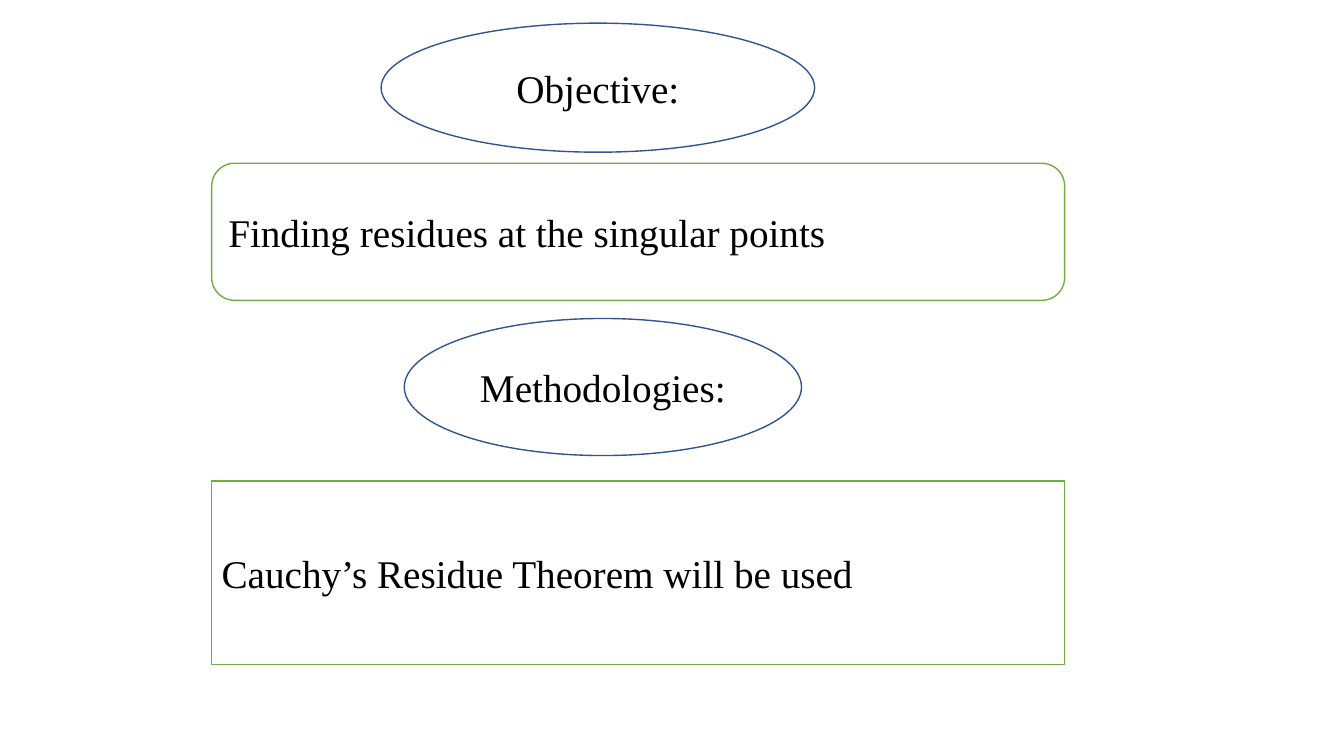
from pptx import Presentation
from pptx.dml.color import RGBColor
from pptx.enum.shapes import MSO_SHAPE as Shape
from pptx.enum.text import MSO_ANCHOR as Anchor, PP_ALIGN as Align
from pptx.util import Inches, Pt

BLUE = RGBColor(0x32, 0x54, 0x91)
GREEN = RGBColor(0x70, 0xAD, 0x47)
BLACK = RGBColor(0, 0, 0)
FONT = "Times New Roman"


def add_box(slide, kind, box, color, align, text):
    """Place an outlined shape with one line of text in the given box."""
    shape = slide.shapes.add_shape(kind, *map(Inches, box))
    shape.shadow.inherit = False
    shape.fill.background()
    shape.line.color.rgb = color
    shape.line.width = Pt(1)

    # Text
    frame = shape.text_frame
    frame.word_wrap = True
    frame.vertical_anchor = Anchor.MIDDLE
    para = frame.paragraphs[0]
    para.alignment = align
    run = para.add_run()
    run.text = text
    run.font.name = FONT
    run.font.size = Pt(28)
    run.font.color.rgb = BLACK


def add_head(slide, box, text):
    """Oval heading."""
    add_box(slide, Shape.OVAL, box, BLUE, Align.CENTER, text)


def add_panel(slide, kind, top, height, text):
    """Green panel; all panels share one left edge and width."""
    box = (2.1, top, 8.46, height)
    add_box(slide, kind, box, GREEN, Align.JUSTIFY, text)


def main():
    deck = Presentation()
    deck.slide_width = Inches(13.33)
    deck.slide_height = Inches(7.5)
    slide = deck.slides.add_slide(deck.slide_layouts[6])

    # Objective
    add_head(slide, (3.78, 0.23, 4.3, 1.28), "Objective:")
    add_panel(slide, Shape.ROUNDED_RECTANGLE, 1.62, 1.36,
              "Finding residues at the singular points")

    # Methodologies
    add_head(slide, (4.01, 3.16, 3.94, 1.36), "Methodologies:")
    add_panel(slide, Shape.RECTANGLE, 4.77, 1.82,
              "Cauchy’s Residue Theorem will be used")

    deck.save("out.pptx")


if __name__ == "__main__":
    main()
